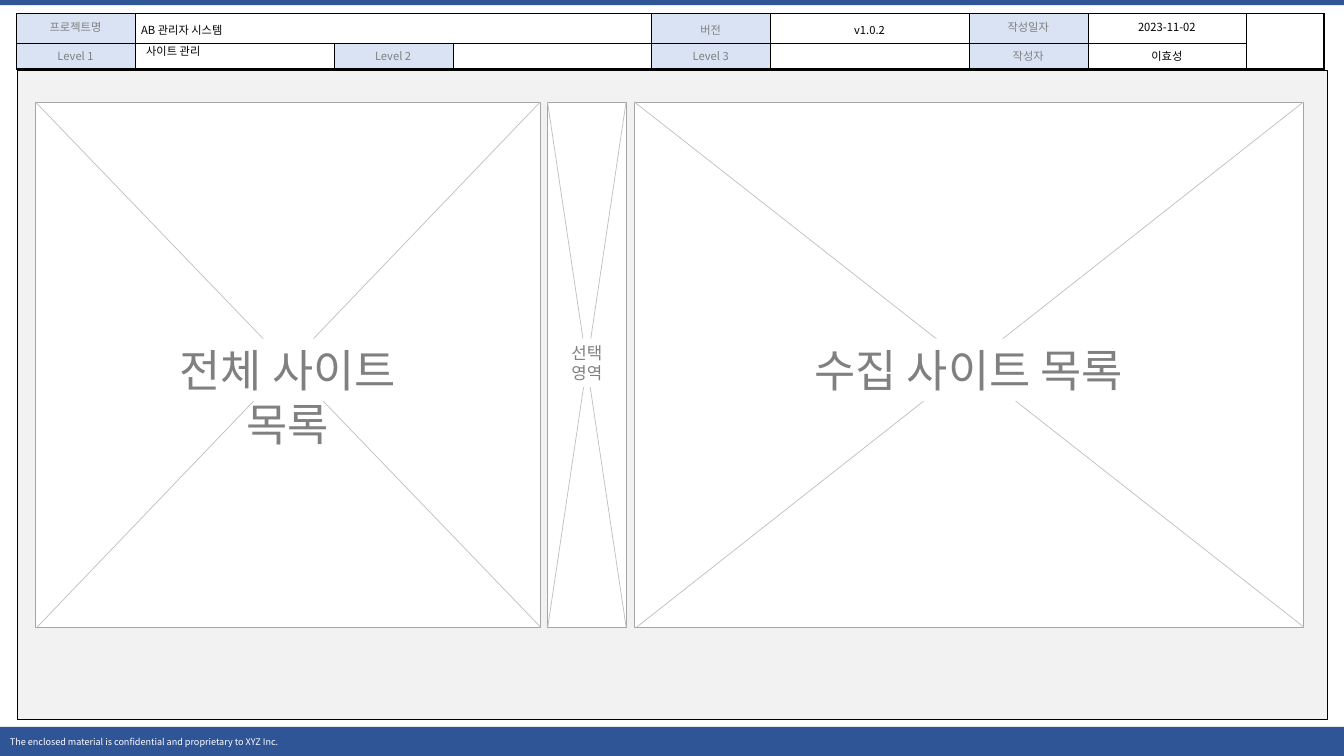
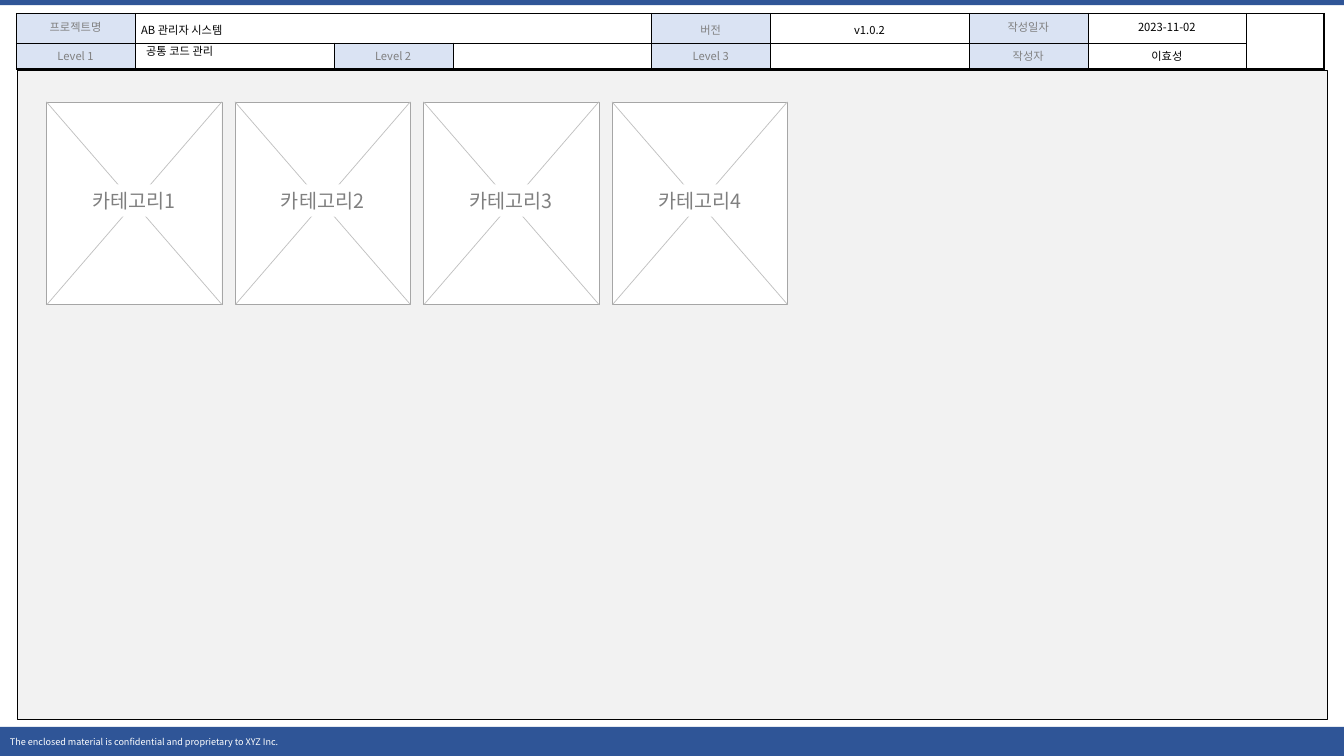
from lxml import etree
from pptx import Presentation
from pptx.dml.color import RGBColor
from pptx.enum import shapes as kinds, text as txt
from pptx.oxml.ns import qn
from pptx.util import Inches, Pt

FONT = "Noto Sans CJK KR"
NAVY, PALE, MIST = "2F5597", "DAE3F3", "F2F2F2"
BLACK, WHITE, GRAY = "000000", "FFFFFF", "808080"
EDGE, CROSS = "A6A6A6", "BFBFBF"
LEFT, MID = txt.PP_ALIGN.LEFT, txt.PP_ALIGN.CENTER
tint = RGBColor.from_string


def write(frame, text, size=8, color=BLACK, align=MID, gap=1.0, anchor=None, pad=None):
    frame.text = text
    frame.word_wrap = True
    frame.auto_size = txt.MSO_AUTO_SIZE.NONE
    if anchor is not None:
        frame.vertical_anchor = anchor
    if pad is not None:
        frame.margin_left = frame.margin_right = Inches(pad)
        frame.margin_top = frame.margin_bottom = Inches(pad)
    for para in frame.paragraphs:
        para.alignment, para.line_spacing = align, gap
        for run in para.runs:
            run.font.size, run.font.name = Pt(size), FONT
            run.font.color.rgb = tint(color)
            east = etree.SubElement(run.font._element, qn("a:ea"))
            east.set("typeface", FONT)
        if not para.runs:
            # An empty cell still needs a small text size to keep its row low
            end = etree.SubElement(para._p, qn("a:endParaRPr"))
            end.set("sz", str(size * 100))


def box(parent, x, y, w, h, fill, line=None):
    rect = parent.add_shape(kinds.MSO_SHAPE.RECTANGLE, Inches(x), Inches(y), Inches(w), Inches(h))
    rect.shadow.inherit = False
    rect.fill.solid()
    rect.fill.fore_color.rgb = tint(fill)
    if line:
        rect.line.color.rgb, rect.line.width = tint(line), Pt(0.25)
    else:
        rect.line.fill.background()
    return rect


prs = Presentation()
prs.slide_width, prs.slide_height = Inches(13.33), Inches(7.5)

# Layout: keep only the body placeholder, which holds the page name
lay = prs.slide_layouts[1]
for hold in list(lay.placeholders):
    if hold.placeholder_format.idx != 1:
        hold.element.getparent().remove(hold.element)
name = lay.placeholders[0]
name.left, name.top, name.width, name.height = map(Inches, (1.35, 0.39, 1.97, 0.24))
slides = [prs.slides.add_slide(lay) for _ in range(2)]
draft = slides[0].shapes

# Shared bands and page frame
top = box(draft, 0, 0, 13.33, 0.05, NAVY)
foot = box(draft, 0, 7.21, 13.33, 0.29, NAVY)
write(foot.text_frame, "The enclosed material is confidential and proprietary to XYZ Inc.",
      size=6.5, color=WHITE, align=LEFT, anchor=txt.MSO_ANCHOR.MIDDLE)
page = box(draft, 0.17, 0.7, 12.99, 6.44, MIST, BLACK)

# Shared project table
rows = [
    ["프로젝트명", "AB 관리자 시스템", "", "", "버전", "v1.0.2", "작성일자", "2023-11-02", ""],
    ["Level 1", "", "Level 2", "", "Level 3", "", "작성자", "이효성", ""],
]
wide = [1.18, 1.97, 1.18, 1.97, 1.18, 1.97, 1.18, 1.57, 0.77]
info = draft.add_table(2, 9, Inches(0.16), Inches(0.13), Inches(12.97), Inches(0.49))
grid = info.table
grid.first_row = grid.horz_banding = False
for col, w in zip(grid.columns, wide):
    col.width = Inches(w)
for row, h in zip(grid.rows, (0.26, 0.23)):
    row.height = Inches(h)
for r, row in enumerate(rows):
    for c, text in enumerate(row):
        cell = grid.cell(r, c)
        label = c in (0, 2, 4, 6) and text != ""
        first = r == 0 and c in (1, 4, 5)
        write(cell.text_frame, text, color=GRAY if label else BLACK,
              align=LEFT if c == 1 else MID, gap=1.2 if first else 1.0)
        cell.margin_left = cell.margin_right = Inches(0.06)
        cell.margin_top = cell.margin_bottom = Inches(0.05)
        cell.fill.solid()
        cell.fill.fore_color.rgb = tint(PALE if label else WHITE)
        # Thin cell borders, with a thick outer right and bottom edge
        props = cell._tc.get_or_add_tcPr()
        for n, side in enumerate(("lnL", "lnR", "lnT", "lnB")):
            thick = (side == "lnR" and c == 8) or (side == "lnB" and (r == 1 or c == 8))
            edge = etree.Element(qn("a:" + side), w=str(Pt(1.5 if thick else 0.25)))
            paint = etree.SubElement(edge, qn("a:solidFill"))
            etree.SubElement(paint, qn("a:srgbClr"), val=BLACK)
            props.insert(n, edge)
grid.cell(0, 1).merge(grid.cell(0, 3))
grid.cell(0, 8).merge(grid.cell(1, 8))

# Move the shared parts to the layout and number them there
for part in (top, foot, info, page):
    lay.shapes.element.append(part.element)
for n, part in enumerate(lay.shapes, 2):
    next(part.element.iter(qn("p:cNvPr"))).set("id", str(n))

# Panels: left, top, width, height, label, label width, label height, label top, text size
sites = [
    (0.35, 1.01, 5.01, 5.21, "전체 사이트 목록", 2.87, 0.62, 3.36, 32),
    (6.29, 1.01, 6.64, 5.21, "수집 사이트 목록", 3.81, 0.62, 3.36, 32),
    (5.43, 1.01, 0.78, 5.21, "선택\n영역", 0.42, 0.48, 3.36, 12),
]
codes = [(0.46 + 1.87 * n, 1.01, 1.74, 2.01, f"카테고리{n + 1}", 0.97, 0.32, 1.83, 14)
         for n in range(4)]

for slide, title, panels in zip(slides, ("사이트 관리", "공통 코드 관리"), (sites, codes)):
    # Page name without a bullet
    frame = slide.placeholders[1].text_frame
    write(frame, title, align=LEFT, gap=0.9, anchor=txt.MSO_ANCHOR.MIDDLE)
    props = frame.paragraphs[0]._p.get_or_add_pPr()
    props.set("marL", "0")
    props.set("indent", "0")
    etree.SubElement(props, qn("a:buNone"))

    # Crossed panels with a label over the middle
    for x, y, w, h, text, wide, high, at, size in panels:
        group = slide.shapes.add_group_shape().shapes
        box(group, x, y, w, h, WHITE, EDGE)
        for x1, y1, y2 in ((x, y, y + h), (x + 0.004 * w, y + h, y)):
            line = group.add_connector(kinds.MSO_CONNECTOR.STRAIGHT, Inches(x1), Inches(y1),
                                       Inches(x + w), Inches(y2))
            line.line.color.rgb, line.line.width = tint(CROSS), Pt(0.5)
            etree.SubElement(line.element.spPr, qn("a:effectLst"))
        tag = box(group, x + (w - wide) / 2, at, wide, high, WHITE)
        write(tag.text_frame, text, size=size, color=GRAY,
              anchor=txt.MSO_ANCHOR.TOP, pad=0.04)

prs.save("out.pptx")
